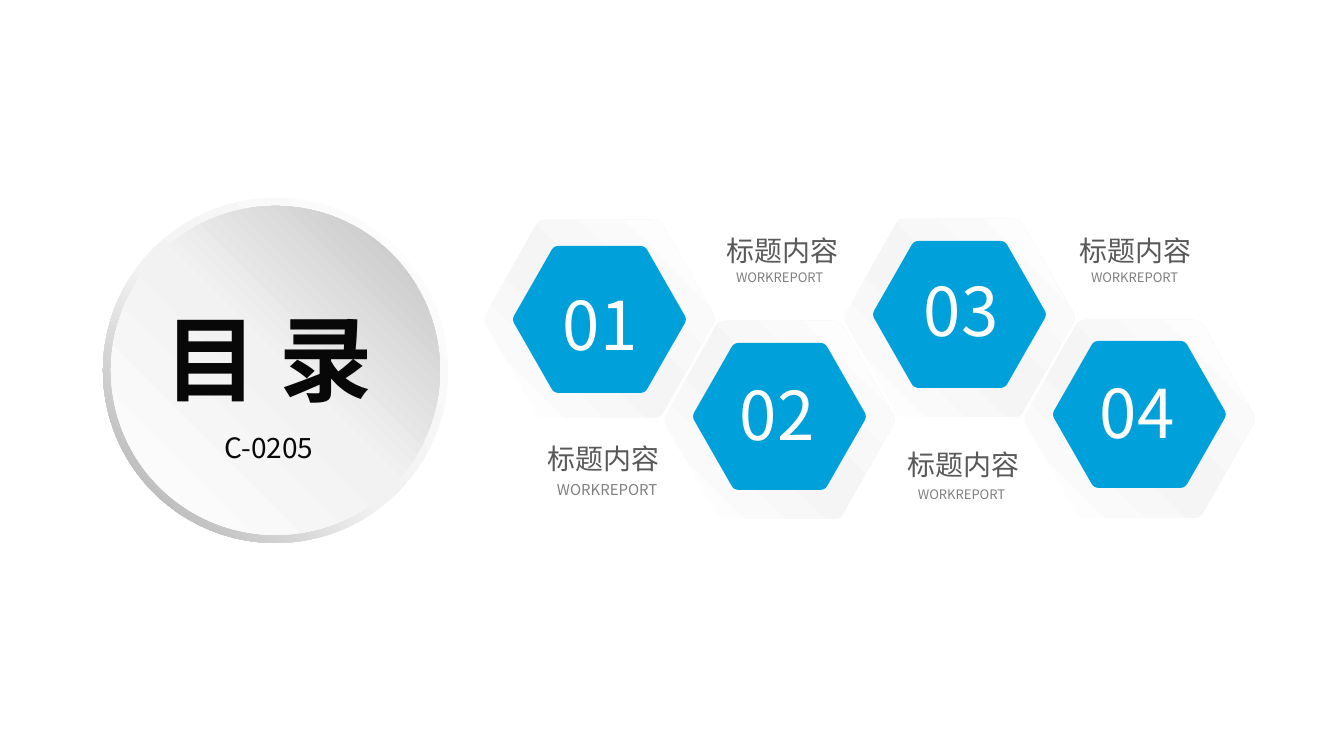
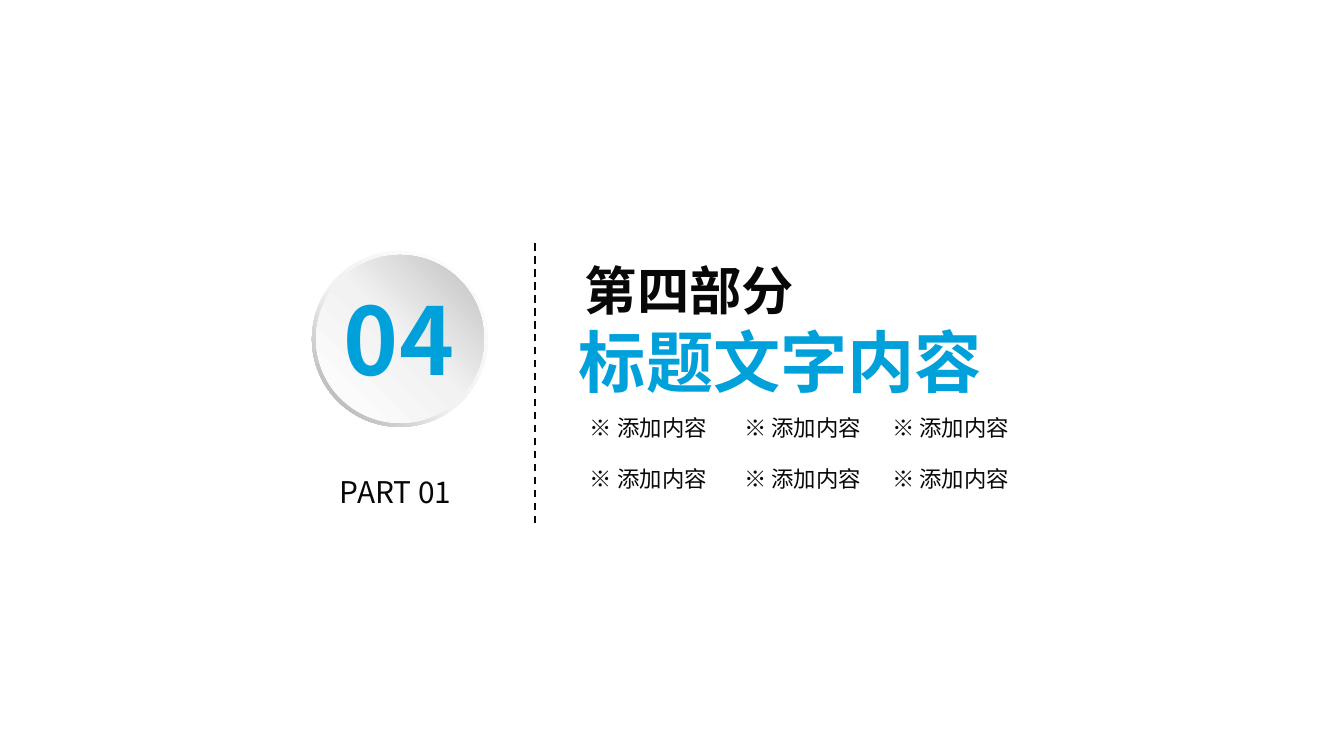
from copy import deepcopy

from pptx import Presentation
from pptx.dml.color import RGBColor
from pptx.enum.dml import MSO_LINE
from pptx.enum.shapes import MSO_CONNECTOR, MSO_SHAPE
from pptx.enum.text import MSO_ANCHOR, MSO_AUTO_SIZE, PP_ALIGN
from pptx.oxml.ns import qn
from pptx.util import Pt
from lxml.etree import SubElement

PX = 914400 / 134.4
FONT = "Noto Sans CJK SC"
COLOURS = {
    "ink": "080808",
    "accent": "00A1DA",
    "white": "FFFFFF",
    "caption": "595959",
    "subcaption": "808080",
    "silver": "F2F2F2",
    "panel": "F5F5F5",
    "rim": "A6A6A6",
    "shade": "BFBFBF",
}
RIM_STOPS = [(0, "white"), (55, "silver"), (100, "rim")]
DISC_STOPS = [(0, "white"), (51, "silver"), (100, "shade")]
PANEL_STOPS = [(0, "white"), (47, "panel"), (100, "white")]

# Sharp corners of a hexagon, as shares of its width and height
HEXAGON = [(0, 0.5), (0.24, 0), (0.76, 0), (1, 0.5), (0.76, 1), (0.24, 1)]
CORNER_CUT = 0.055
CORNER_STEPS = 4

CARD_LEFT, CARD_STEP = 482, 180
# number, card top, core top, number offset, caption place, subcaption offset and size
CARDS = [
    ("01", 219, 27, (68, 57), (535, 435), (9, 39), 8),
    ("02", 320, 23, (65, 46), (714, 227), (9, 36), 7),
    ("03", 218, 23, (69, 44), (895, 441), (10, 39), 7),
    ("04", 319, 22, (65, 45), (1067, 227), (11, 36), 7),
]


def emu(*lengths):
    return [round(length * PX) for length in lengths]


def rgb(name):
    return RGBColor.from_string(COLOURS[name])


def finish(shape, fill):
    """Give a shape a plain colour, and no line or shadow."""
    shape.shadow.inherit = False
    shape.line.fill.background()
    if fill:
        shape.fill.solid()
        shape.fill.fore_color.rgb = rgb(fill)


def add_gradient(shape, stops, angle):
    """Fill with three stops; the angle runs anticlockwise."""
    finish(shape, None)
    shape.fill.gradient()
    shape.fill.gradient_angle = angle
    stop_list = shape._element.spPr.find(".//" + qn("a:gsLst"))
    stop_list.append(deepcopy(stop_list[0]))
    for stop, (percent, colour) in zip(shape.fill.gradient_stops, stops):
        stop.position = percent / 100
        stop.color.rgb = rgb(colour)


def style(paragraph, size, colour, bold=False, align=PP_ALIGN.LEFT):
    paragraph.alignment = align
    font = paragraph.font
    font.name, font.size, font.bold = FONT, Pt(size), bold
    font.color.rgb = rgb(colour)
    for run in paragraph.runs:
        east_asian = SubElement(run._r.get_or_add_rPr(), qn("a:ea"))
        east_asian.set("typeface", FONT)


def add_text(slide, box, text, size, colour, bold=False, align=PP_ALIGN.LEFT,
             insets=(13, 7), anchor=MSO_ANCHOR.TOP, grow=True):
    frame = slide.shapes.add_textbox(*emu(*box)).text_frame
    frame.word_wrap = True
    frame.auto_size = MSO_AUTO_SIZE.SHAPE_TO_FIT_TEXT if grow else MSO_AUTO_SIZE.NONE
    frame.vertical_anchor = anchor
    frame.margin_left, frame.margin_top = emu(*insets)
    frame.margin_right, frame.margin_bottom = emu(*insets)
    frame.text = text
    style(frame.paragraphs[0], size, colour, bold, align)
    return frame


def add_disc(slide, left, top, size):
    """Raised round button: a shaded rim with a shaded face on it."""
    rim = slide.shapes.add_shape(MSO_SHAPE.DONUT, *emu(left, top, size, size))
    rim.adjustments[0] = 0.049
    add_gradient(rim, RIM_STOPS, 225)
    inset = round(size * 0.022)
    face_size = size - 2 * inset
    face = slide.shapes.add_shape(
        MSO_SHAPE.OVAL, *emu(left + inset, top + inset, face_size, face_size))
    add_gradient(face, DISC_STOPS, 45)


def toward(start, end, share):
    return tuple(a + (b - a) * share for a, b in zip(start, end))


def add_hexagon(slide, left, top, width, height):
    """Hexagon with softly rounded corners."""
    corners = [(left + x * width, top + y * height) for x, y in HEXAGON]
    outline = []
    for i, corner in enumerate(corners):
        entry = toward(corner, corners[i - 1], CORNER_CUT)
        leave = toward(corner, corners[(i + 1) % len(corners)], CORNER_CUT)
        for step in range(CORNER_STEPS + 1):
            share = step / CORNER_STEPS
            outline.append(toward(toward(entry, corner, share),
                                  toward(corner, leave, share), share))
    points = [tuple(emu(*point)) for point in outline]
    builder = slide.shapes.build_freeform(*points[0], scale=1.0)
    builder.add_line_segments(points[1:], close=True)
    return builder.convert_to_shape()


def add_card(slide, left, top, core_top, number, number_offset):
    finish(add_hexagon(slide, left, top, 235, 200), "white")
    add_gradient(add_hexagon(slide, left + 1, top + 1, 233, 198), PANEL_STOPS, 45)
    finish(add_hexagon(slide, left + 30, top + core_top, 175, 147), "accent")
    dx, dy = number_offset
    add_text(slide, (left + dx, top + dy, 120, 95), number, 36, "white")


def add_caption(slide, left, top, sub_offset, sub_size):
    add_text(slide, (left, top, 151, 47), "标题内容", 15, "caption")
    dx, dy = sub_offset
    add_text(slide, (left + dx, top + dy, 17 * sub_size, 4 * sub_size + 1),
             "WORKREPORT", sub_size, "subcaption")


def build_contents(slide):
    add_disc(slide, 103, 198, 345)
    add_text(slide, (152, 294, 243, 126), "目 录", 50, "ink", bold=True)
    add_text(slide, (168, 419, 202, 56), "C-0205", 15, "ink", align=PP_ALIGN.CENTER,
             insets=(9, 5), anchor=MSO_ANCHOR.MIDDLE, grow=False)
    # The third card lies below its neighbours
    for i in (2, 0, 1, 3):
        number, top, core_top, number_offset = CARDS[i][:4]
        add_card(slide, CARD_LEFT + i * CARD_STEP, top, core_top, number, number_offset)
    for *_, (left, top), sub_offset, sub_size in CARDS:
        add_caption(slide, left, top, sub_offset, sub_size)


def add_divider(slide, x, top, bottom):
    divider = slide.shapes.add_connector(
        MSO_CONNECTOR.STRAIGHT, *emu(x, bottom, x, top))
    divider.line.color.rgb = rgb("ink")
    divider.line.width = Pt(1)
    divider.line.dash_style = MSO_LINE.DASH
    SubElement(divider._element.spPr, qn("a:effectLst"))


def add_heading(slide, box):
    frame = add_text(slide, box, "第四部分", 28, "ink", bold=True)
    frame.word_wrap = False
    part = frame.paragraphs[0]
    part._p.get_or_add_pPr().set("marL", str(emu(6)[0]))
    title = frame.add_paragraph()
    title.text = "标题文字内容"
    style(title, 36, "accent", bold=True, align=PP_ALIGN.CENTER)


def build_section(slide):
    add_heading(slide, (566, 251, 434, 159))
    add_divider(slide, 535, 241, 523)
    add_text(slide, (340, 474, 133, 36), "PART 01", 16, "ink", insets=(0, 0))
    add_disc(slide, 312, 251, 176)
    for top in (410, 461):
        for left in (581, 735, 883):
            add_text(slide, (left, top, 150, 36), "※ 添加内容", 12, "ink", insets=(9, 4))
    add_text(slide, (344, 282, 133, 113), "04", 50, "accent", bold=True, insets=(0, 0))


def main():
    deck = Presentation()
    deck.slide_width, deck.slide_height = emu(1344, 756)
    for build in (build_contents, build_section):
        build(deck.slides.add_slide(deck.slide_layouts[6]))
    deck.save("out.pptx")


if __name__ == "__main__":
    main()
